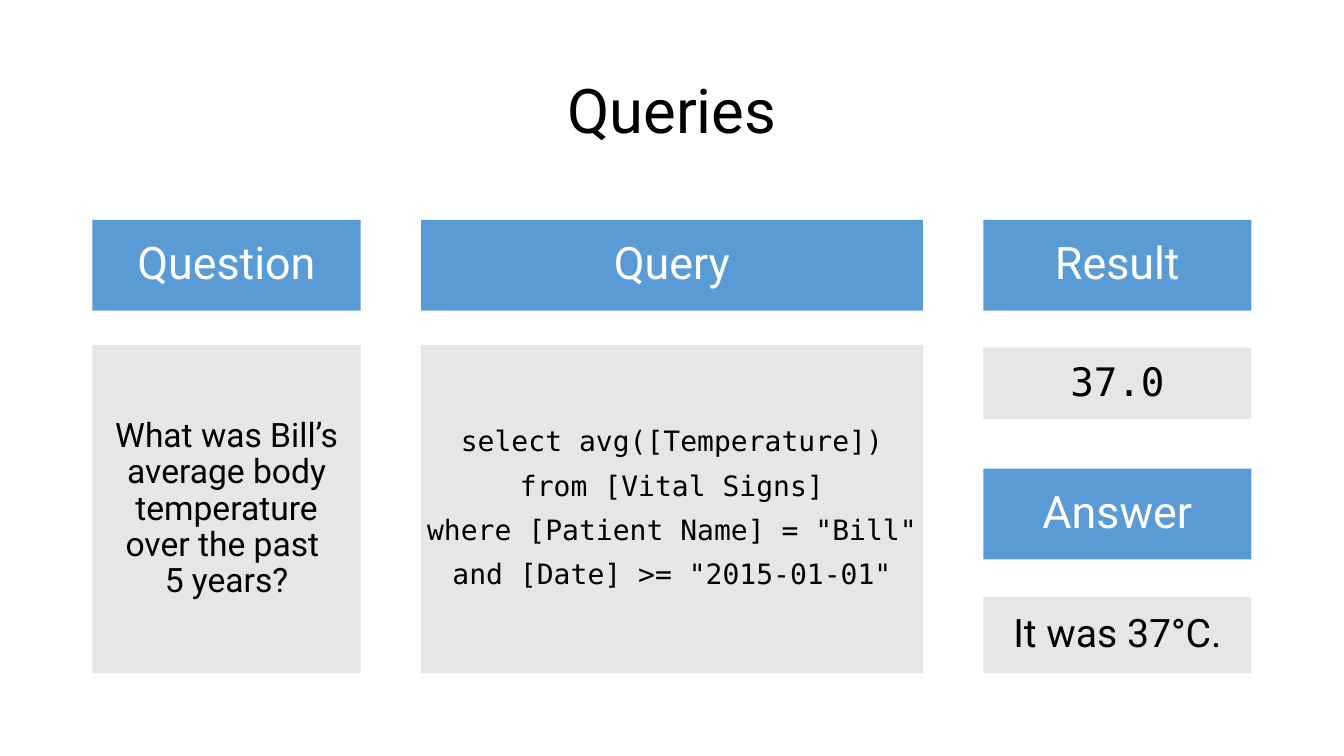
import lxml.etree
import pptx
import pptx.dml.color
import pptx.enum.shapes
import pptx.enum.text
import pptx.oxml.ns
import pptx.util
from pptx.util import Cm

SANS, MONO = "Roboto", "DejaVu Sans Mono"
BLUE, GRAY, BLACK, WHITE = "5B9BD5", "E7E6E6", "000000", "FFFFFF"

MARGIN, GAP = 2.33, 1.52
NARROW, WIDE = 6.76, 12.65
QUESTION_LEFT = MARGIN
QUERY_LEFT = QUESTION_LEFT + NARROW + GAP
RESULT_LEFT = QUERY_LEFT + WIDE + GAP
HEADING_TOP, HEADING_HEIGHT = 5.54, 2.29
PANEL_TOP, PANEL_HEIGHT = 8.69, 8.28

QUESTION = "What was Bill’s average body temperature over the past \v5 years?"
QUERY = """select avg([Temperature])
from [Vital Signs]
where [Patient Name] = "Bill"
and [Date] >= "2015-01-01\""""


def color(value):
    """Return the RGB colour for a hex string."""
    return pptx.dml.color.RGBColor.from_string(value)


def place(shape, left, top, width, height):
    """Move and size a shape, in centimetres."""
    shape.left, shape.top = Cm(left), Cm(top)
    shape.width, shape.height = Cm(width), Cm(height)


def remove_bullet(paragraph):
    """Switch off the bullet and hanging indent of a paragraph."""
    properties = paragraph._p.get_or_add_pPr()
    properties.set("marL", "0")
    properties.set("indent", "0")
    lxml.etree.SubElement(properties, pptx.oxml.ns.qn("a:buNone"))


def write(shape, text, size, font_name, font_color, space_before):
    """Write centred text, one paragraph for each line."""
    frame = shape.text_frame
    frame.text = text
    frame.word_wrap = True
    frame.auto_size = pptx.enum.text.MSO_AUTO_SIZE.NONE
    frame.vertical_anchor = pptx.enum.text.MSO_ANCHOR.MIDDLE
    for paragraph in frame.paragraphs:
        remove_bullet(paragraph)
        paragraph.alignment = pptx.enum.text.PP_ALIGN.CENTER
        paragraph.line_spacing = 0.9
        paragraph.space_before = pptx.util.Pt(space_before)
        paragraph.font.size = pptx.util.Pt(size)
        paragraph.font.name = font_name
        paragraph.font.bold = False
        paragraph.font.color.rgb = color(font_color)


def add_box(slide):
    """Add a plain rectangle without line or shadow."""
    shape = slide.shapes.add_shape(
        pptx.enum.shapes.MSO_SHAPE.RECTANGLE, 0, 0, Cm(1), Cm(1))
    shape.shadow.inherit = False
    shape.line.fill.background()
    return shape


def format_box(shape, text, bounds, fill, size, font_name, font_color):
    """Place, fill and label a box."""
    place(shape, *bounds)
    shape.fill.solid()
    shape.fill.fore_color.rgb = color(fill)
    write(shape, text, size, font_name, font_color, 10)


def format_heading(shape, text, left, width, top=HEADING_TOP):
    """Turn a shape into a blue heading."""
    bounds = (left, top, width, HEADING_HEIGHT)
    format_box(shape, text, bounds, BLUE, 32, SANS, WHITE)


def format_panel(shape, text, bounds, size, font_name=SANS):
    """Turn a shape into a gray content panel."""
    format_box(shape, text, bounds, GRAY, size, font_name, BLACK)


def main():
    """Build the slide and save it."""
    presentation = pptx.Presentation()
    presentation.slide_width, presentation.slide_height = Cm(33.87), Cm(19.05)
    comparison_layout = presentation.slide_layouts[4]
    slide = presentation.slides.add_slide(comparison_layout)
    title, question_heading, question, query_heading, query = slide.placeholders

    place(title, MARGIN, 1.02, RESULT_LEFT + NARROW - MARGIN, 3.68)
    write(title, "Queries", 44, SANS, BLACK, 0)

    format_heading(question_heading, "Question", QUESTION_LEFT, NARROW)
    format_panel(question, QUESTION,
                 (QUESTION_LEFT, PANEL_TOP, NARROW, PANEL_HEIGHT), 24)

    format_heading(query_heading, "Query", QUERY_LEFT, WIDE)
    format_panel(query, QUERY,
                 (QUERY_LEFT, PANEL_TOP, WIDE, PANEL_HEIGHT), 20, MONO)
    query.text_frame.margin_left = query.text_frame.margin_right = 0

    format_heading(add_box(slide), "Result", RESULT_LEFT, NARROW)
    format_panel(add_box(slide), "37.0",
                 (RESULT_LEFT, 8.76, NARROW, 1.8), 28, MONO)
    format_heading(add_box(slide), "Answer", RESULT_LEFT, NARROW, 11.81)
    format_panel(add_box(slide), "It was 37°C.",
                 (RESULT_LEFT, 15.04, NARROW, 1.93), 28)

    presentation.save("out.pptx")


main()
